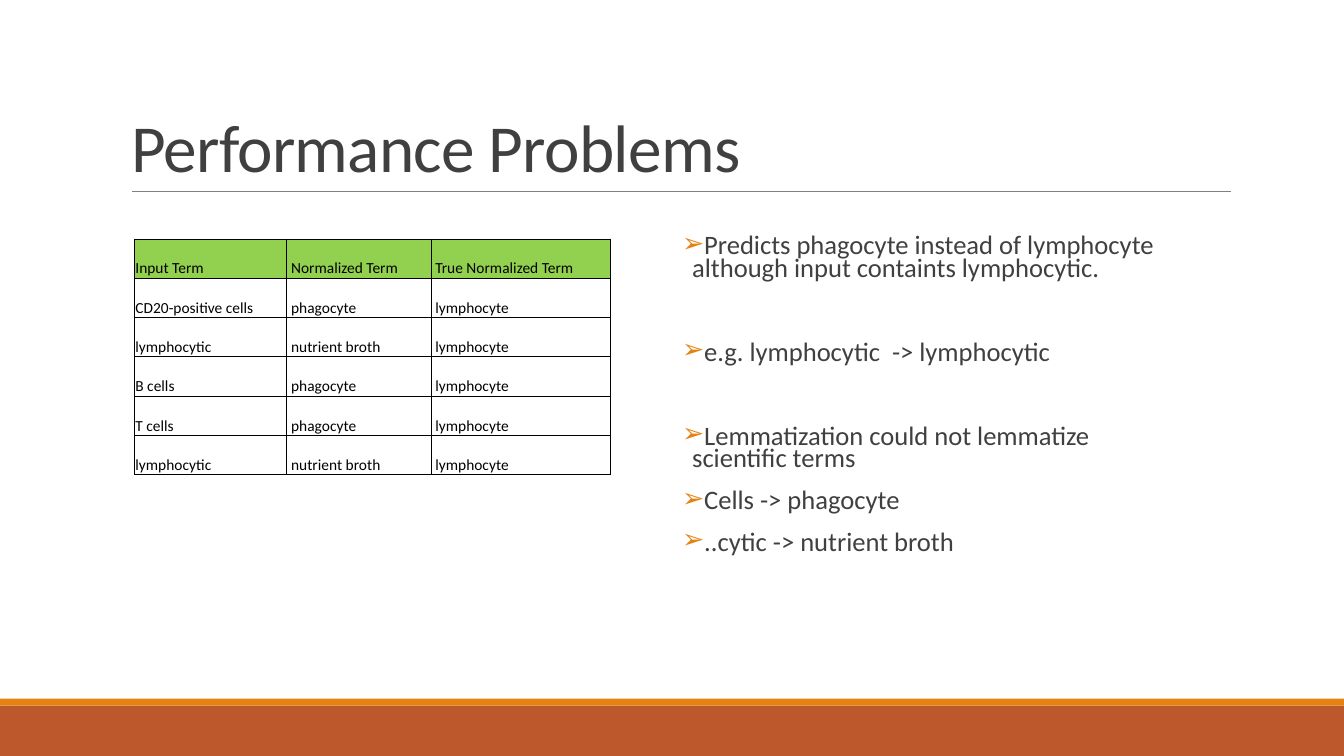
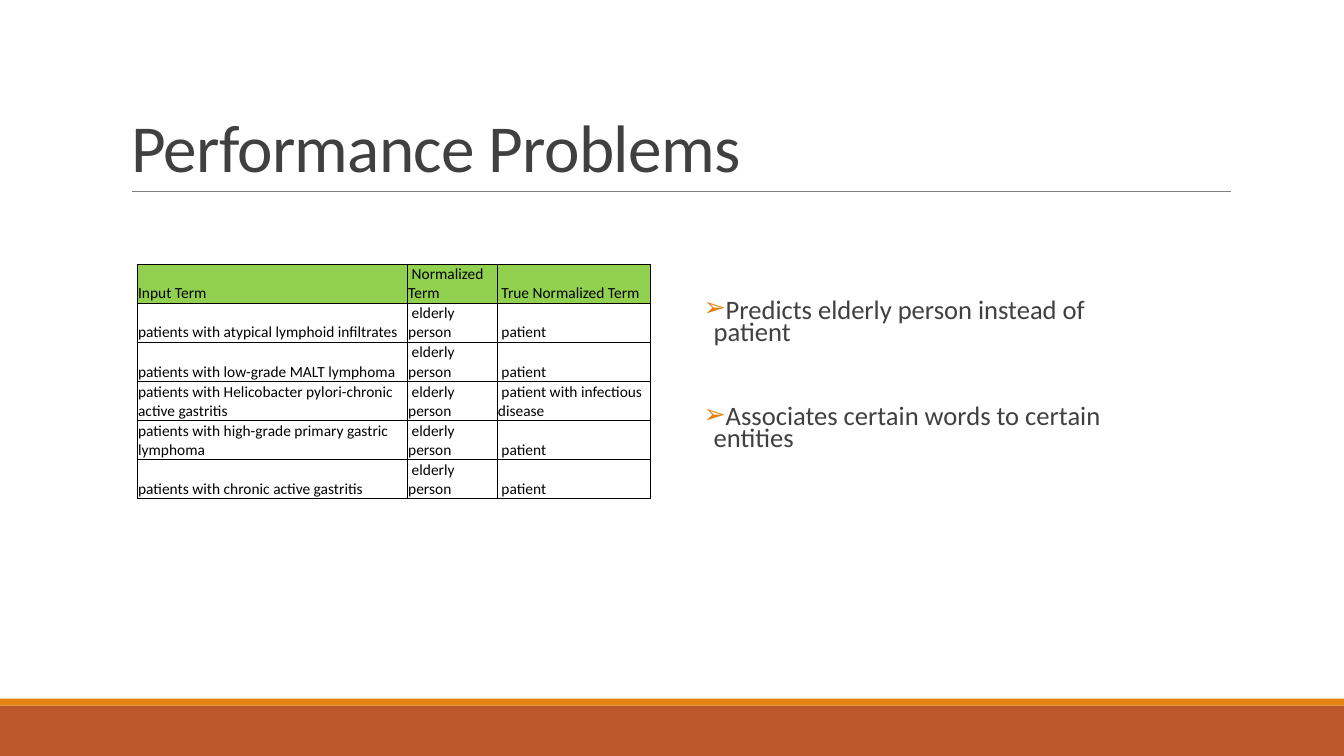
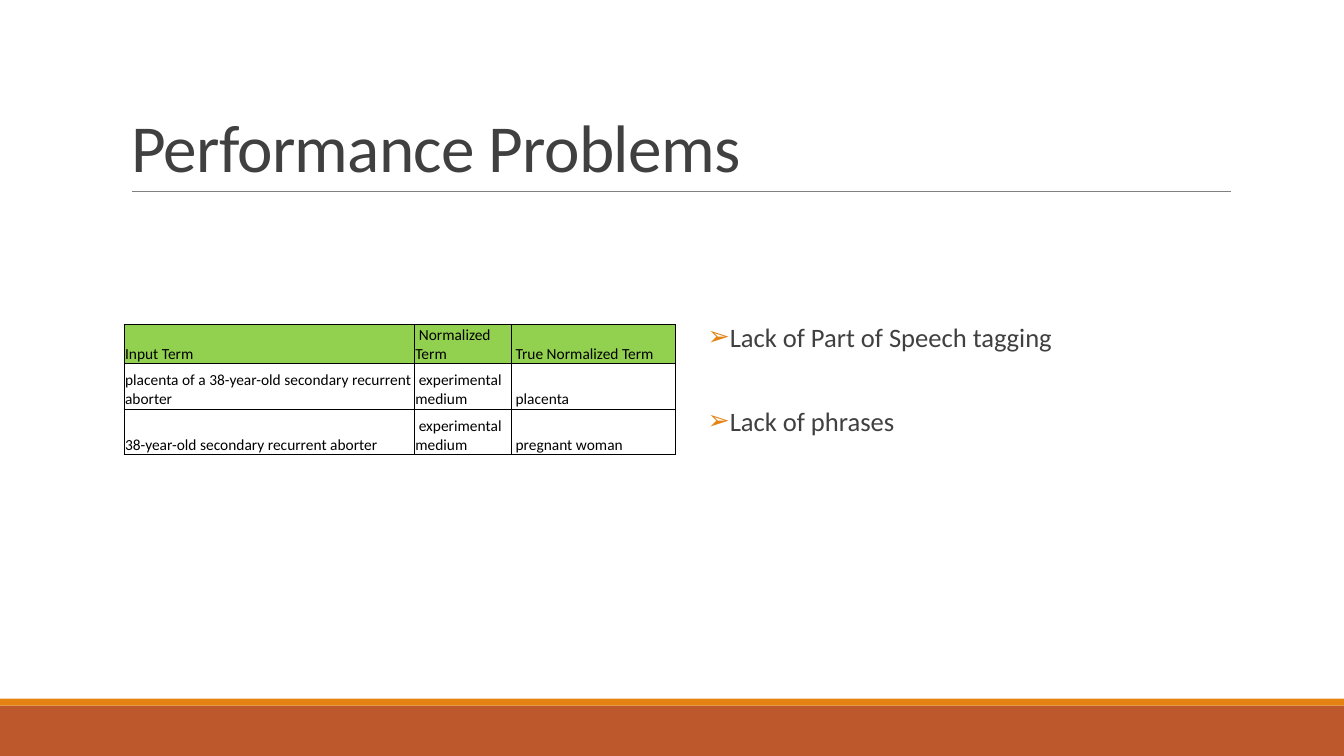
from lxml.etree import SubElement
from pptx import Presentation
from pptx.dml.color import RGBColor
from pptx.enum.shapes import MSO_CONNECTOR, MSO_SHAPE
from pptx.enum.text import MSO_ANCHOR, MSO_AUTO_SIZE, PP_ALIGN
from pptx.oxml.ns import qn
from pptx.util import Inches, Pt

RECT = MSO_SHAPE.RECTANGLE
LINE = MSO_CONNECTOR.STRAIGHT
BOTTOM, TOP = MSO_ANCHOR.BOTTOM, MSO_ANCHOR.TOP
NO_FIT = MSO_AUTO_SIZE.NONE
LEFT = PP_ALIGN.LEFT

FONT = "Calibri"
RUST, ORANGE, GREEN = "BD582C", "E48312", "92D050"
INK, GREY, BLACK = "404040", "808080", "000000"
TITLE = "Performance Problems"
HEAD = ["Input Term", " Normalized Term", " True Normalized Term"]

prs = Presentation()
prs.slide_width, prs.slide_height = Inches(13.33), Inches(7.5)
COL, ROW = prs.slide_width / 100, prs.slide_height / 100


def color(code):
    return RGBColor.from_string(code)


def box(left, top, width, height):
    """Turn percentages of the slide into lengths."""
    return [round(n * unit) for n, unit in
            zip((left, top, width, height), (COL, ROW, COL, ROW))]


# Content: bullets are (level, space before in points, text)
pages = [
    {
        "spot": (10, 31.6), "cols": (11.33, 10.73, 13.35), "rows": [5.2] * 6,
        "cells": [
            ["CD20-positive cells", " phagocyte", " lymphocyte"],
            ["lymphocytic", " nutrient broth", " lymphocyte"],
            ["B cells", " phagocyte", " lymphocyte"],
            ["T cells", " phagocyte", " lymphocyte"],
            ["lymphocytic", " nutrient broth", " lymphocyte"],
        ],
        "body": (50, 30.67, 38.8, 44.13),
        "list": [
            (0, 12, "Predicts phagocyte instead of lymphocyte although input containts lymphocytic."),
            (0, 42, "e.g. lymphocytic  -> lymphocytic"),
            (0, 42, "Lemmatization could not lemmatize scientific terms"),
            (1, 12, "Cells -> phagocyte"),
            (1, 12, "..cytic -> nutrient broth"),
        ],
    },
    {
        "spot": (10.2, 34.93), "cols": (20.1, 6.68, 11.4), "rows": [5.02] * 6,
        "cells": [
            ["patients with atypical lymphoid infiltrates", " elderly person", " patient"],
            ["patients with low-grade MALT lymphoma", " elderly person", " patient"],
            ["patients with Helicobacter pylori-chronic active gastritis",
             " elderly person", " patient with infectious disease"],
            ["patients with high-grade primary gastric lymphoma",
             " elderly person", " patient"],
            ["patients with chronic active gastritis", " elderly person", " patient"],
        ],
        "body": (51.6, 39.2, 35.4, 21.73),
        "list": [
            (0, 12, "Predicts elderly person instead of patient"),
            (0, 42, "Associates certain words to certain entities"),
        ],
    },
    {
        "spot": (9.23, 42.93), "cols": (21.6, 7.2, 12.23), "rows": [5.07, 6, 6],
        "cells": [
            ["placenta of a 38-year-old secondary recurrent aborter",
             " experimental medium", " placenta"],
            ["38-year-old secondary recurrent aborter",
             " experimental medium", " pregnant woman"],
        ],
        "body": (51.9, 42.93, 39.6, 28.53),
        "list": [
            (0, 12, "Lack of Part of Speech tagging"),
            (0, 42, "Lack of phrases"),
        ],
    },
]

# Shared layout: title place, two bands and the rule under the title
layout = prs.slide_layouts[1]
for spare in list(layout.placeholders)[2:]:
    spare.element.getparent().remove(spare.element)
head = layout.placeholders[0]
head.left, head.top, head.width, head.height = box(9, 4.13, 82.5, 21.2)

first = prs.slides.add_slide(layout)
parts = []
for code, top, high in ((RUST, 93.33, 6.67), (ORANGE, 92.4, 0.93)):
    band = first.shapes.add_shape(RECT, *box(0, top, 100, high))
    band.shadow.inherit = False
    band.fill.solid()
    band.fill.fore_color.rgb = color(code)
    band.line.fill.background()
    parts.append(band)
rule = first.shapes.add_connector(LINE, *box(9.83, 25.33, 91.58, 25.33))
rule.line.color.rgb = color(GREY)
rule.line.width = Pt(0.5)
SubElement(rule.element.spPr, qn("a:effectLst"))
parts.append(rule)
for spot, part in enumerate(parts, 2):
    layout.shapes.element.insert(spot, part.element)

slides = [first] + [prs.slides.add_slide(layout) for _ in pages[1:]]

for slide, page in zip(slides, pages):
    # Title
    frame = slide.shapes.title.text_frame
    frame.text = TITLE
    frame.auto_size = NO_FIT
    frame.vertical_anchor = BOTTOM
    para = frame.paragraphs[0]
    para.alignment = LEFT
    para.line_spacing = 0.85
    para.font.name, para.font.size = FONT, Pt(48)
    para.font.color.rgb = color(INK)
    para._p.pPr.find(qn("a:defRPr")).set("spc", "-50")

    # Bullet list
    body = slide.placeholders[1]
    body.left, body.top, body.width, body.height = box(*page["body"])
    frame = body.text_frame
    frame.text = "\n".join(text for _, _, text in page["list"])
    frame.auto_size = NO_FIT
    frame.vertical_anchor = TOP
    for para, (level, gap, _) in zip(frame.paragraphs, page["list"]):
        para.level = level
        para.line_spacing = 0.7
        para.space_before, para.space_after = Pt(gap), Pt(2)
        props = para._p.get_or_add_pPr()
        props.set("marL", str(Inches(0.1)))
        props.set("indent", str(-Inches(0.1)))
        tint = SubElement(props, qn("a:buClr"))
        SubElement(tint, qn("a:srgbClr"), val=ORANGE)
        SubElement(props, qn("a:buChar"), char="➢")
        para.font.name, para.font.size = FONT, Pt(19)
        para.font.color.rgb = color(INK)

    # Table
    cols, rows = page["cols"], page["rows"]
    place = box(*page["spot"], sum(cols), sum(rows))
    table = slide.shapes.add_table(len(rows), len(cols), *place).table
    table.first_row = table.horz_banding = False
    for col, wide in zip(table.columns, cols):
        col.width = round(wide * COL)
    for row, high in zip(table.rows, rows):
        row.height = round(high * ROW)
    for r, texts in enumerate([HEAD] + page["cells"]):
        for c, text in enumerate(texts):
            cell = table.cell(r, c)
            cell.text = text
            cell.vertical_anchor = BOTTOM
            cell.margin_left = cell.margin_right = cell.margin_top = Inches(0.01)
            cell.margin_bottom = 0
            font = cell.text_frame.paragraphs[0].font
            font.name, font.size = FONT, Pt(11)
            font.color.rgb = color(BLACK)
            for side in ("lnL", "lnR", "lnT", "lnB"):
                edge = SubElement(cell._tc.tcPr, qn("a:" + side), w=str(Pt(0.5)))
                ink = SubElement(edge, qn("a:solidFill"))
                SubElement(ink, qn("a:srgbClr"), val=BLACK)
            if r == 0:
                cell.fill.solid()
                cell.fill.fore_color.rgb = color(GREEN)
            else:
                cell.fill.background()

prs.save("out.pptx")
